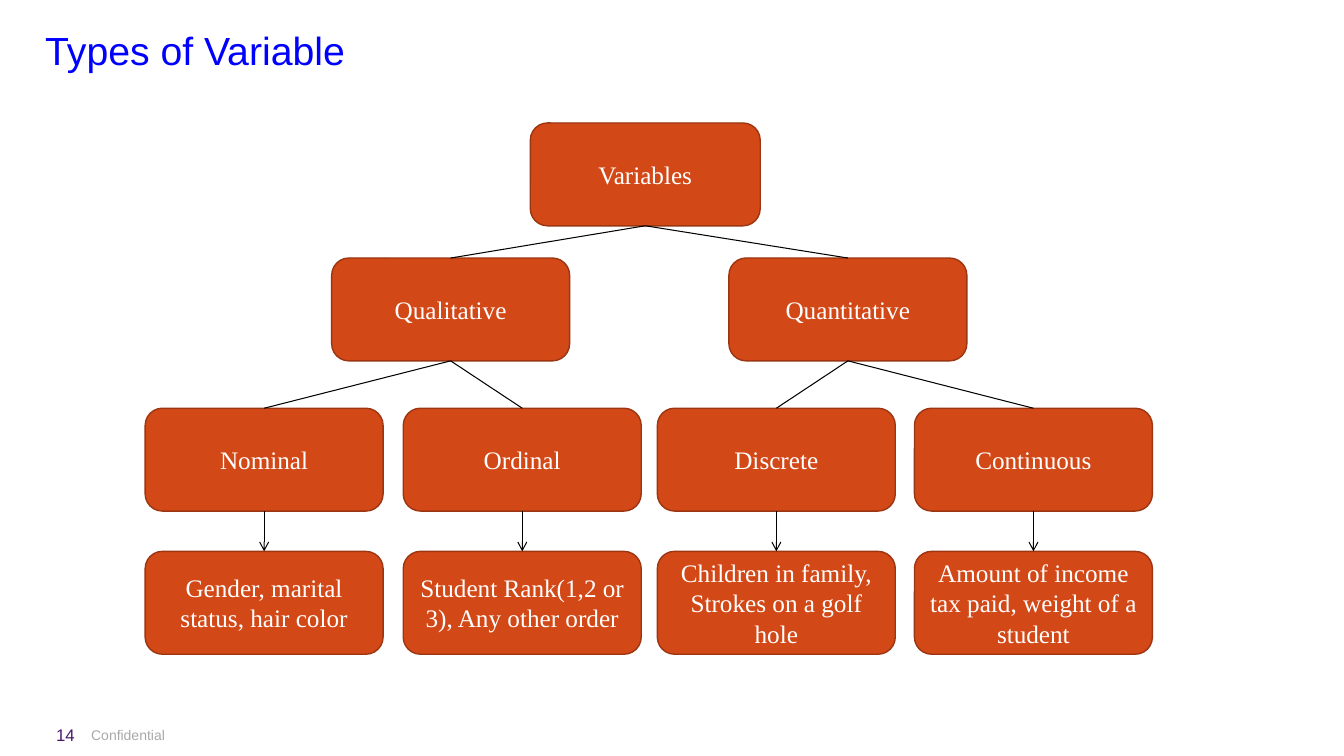
import pptx
import pptx.util
import pptx.dml.color
import pptx.enum.shapes
import pptx.enum.text
import pptx.oxml.ns
import lxml.etree

SCALE = 9144
WIDE, HIGH = 236, 102
TREE = {
    "Qualitative": (329, [
        ("Nominal", 144, "Gender, marital status, hair color"),
        ("Ordinal", 400, "Student Rank(1,2 or 3), Any other order"),
    ]),
    "Quantitative": (723, [
        ("Discrete", 652, "Children in family, Strokes on a golf hole"),
        ("Continuous", 907, "Amount of income tax paid, weight of a student"),
    ]),
}


def px(*sizes):
    return [pptx.util.Emu(size * SCALE) for size in sizes]


def tint(code):
    return pptx.dml.color.RGBColor.from_string(code)


def write(frame, text, size, color, font="Arial", align="LEFT", anchor="TOP", space=None):
    frame.word_wrap = True
    frame.vertical_anchor = pptx.enum.text.MSO_ANCHOR[anchor]
    para = frame.paragraphs[0]
    para.alignment = pptx.enum.text.PP_ALIGN[align]
    para.line_spacing = space
    run = para.add_run()
    run.text = text
    run.font.name = font
    run.font.size = pptx.util.Pt(size)
    run.font.color.rgb = tint(color)


def label(slide, place, text, size, color, grow=False, **style):
    frame = slide.shapes.add_textbox(*px(*place)).text_frame
    write(frame, text, size, color, **style)
    if grow:
        frame.auto_size = pptx.enum.text.MSO_AUTO_SIZE.SHAPE_TO_FIT_TEXT


def node(slide, text, left, top, wide=WIDE):
    kind = pptx.enum.shapes.MSO_SHAPE.ROUNDED_RECTANGLE
    shape = slide.shapes.add_shape(kind, *px(left, top, wide, HIGH))
    shape.shadow.inherit = False
    shape.fill.solid()
    shape.fill.fore_color.rgb = tint("D34817")
    shape.line.color.rgb = tint("9C3511")
    shape.line.width = pptx.util.Pt(1)
    write(shape.text_frame, text, 18, "FFFFFF", font="Times New Roman",
          align="CENTER", anchor="MIDDLE")
    return shape


def link(slide, upper, lower, arrow=False):
    kind = pptx.enum.shapes.MSO_CONNECTOR.STRAIGHT
    line = slide.shapes.add_connector(kind, 0, 0, 0, 0)
    line.begin_connect(upper, 2)
    line.end_connect(lower, 0)
    line.line.color.rgb = tint("000000")
    line.line.width = pptx.util.Pt(0.75)
    qn = pptx.oxml.ns.qn
    if arrow:
        ln = line.line._get_or_add_ln()
        lxml.etree.SubElement(ln, qn("a:tailEnd"), type="arrow")
    lxml.etree.SubElement(line._element.spPr, qn("a:effectLst"))


def main():
    deck = pptx.Presentation()
    deck.slide_width, deck.slide_height = px(1333, 750)
    slide = deck.slides.add_slide(deck.slide_layouts[6])
    label(slide, (-46, 716, 346, 27), "Confidential", 10, "A9A9A9", grow=True, align="CENTER")
    label(slide, (0, 714, 84, 30), "14", 12, "49166D", grow=True, align="RIGHT")
    label(slide, (35, 26, 1133, 74), "Types of Variable", 28, "0000FF", space=0.9)

    root = node(slide, "Variables", 526, 122, 228)
    for name, (left, kinds) in TREE.items():
        group = node(slide, name, left, 256)
        link(slide, root, group)
        for title, side, sample in kinds:
            kind = node(slide, title, side, 405)
            case = node(slide, sample, side, 547)
            link(slide, group, kind)
            link(slide, kind, case, arrow=True)
    deck.save("out.pptx")


if __name__ == "__main__":
    main()
